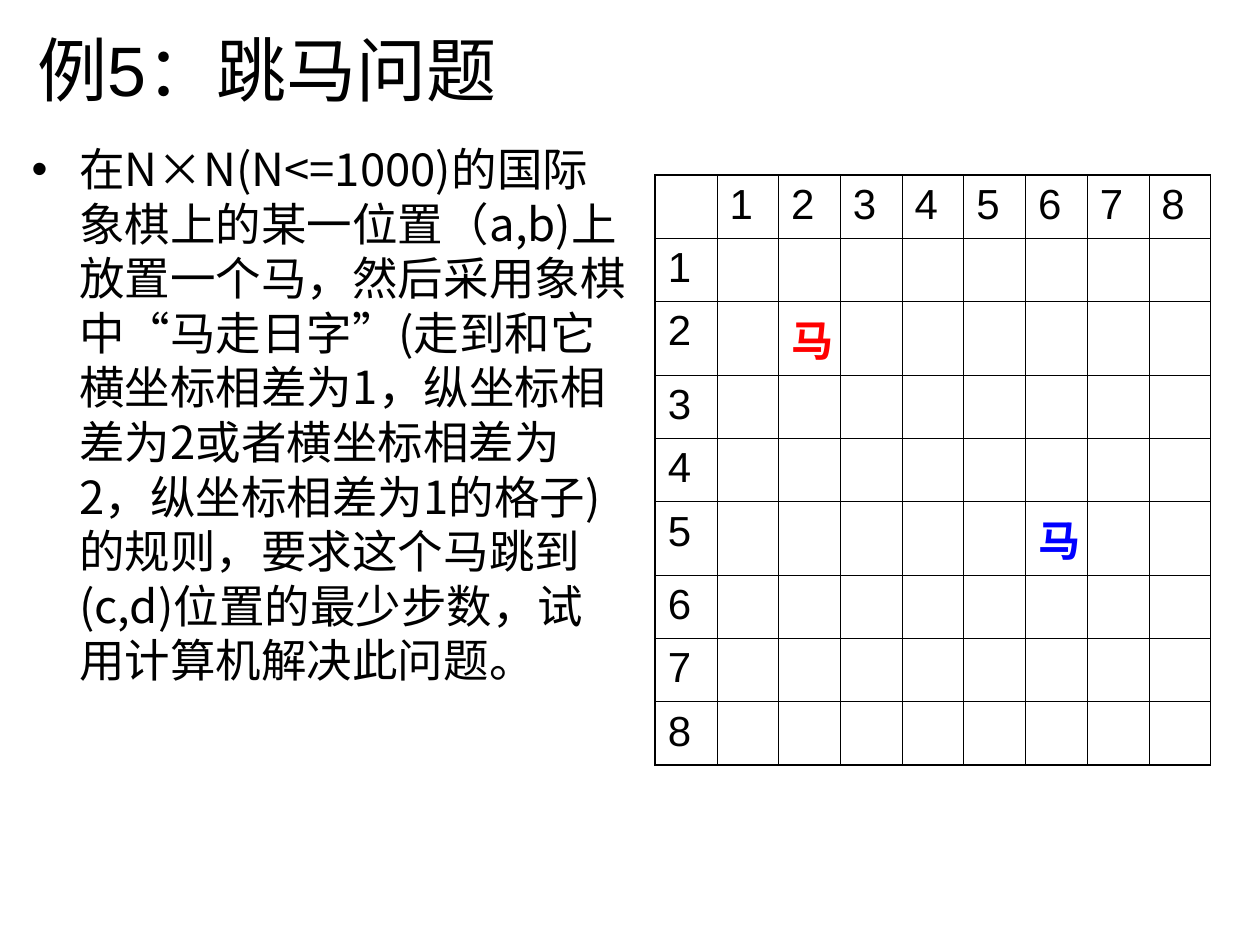
from dataclasses import dataclass

from lxml import etree
from pptx import Presentation
from pptx.dml.color import RGBColor
from pptx.enum.text import MSO_ANCHOR, MSO_AUTO_SIZE, PP_ALIGN
from pptx.oxml.ns import qn
from pptx.util import Inches, Pt

LEFT = PP_ALIGN.LEFT
TOP = MSO_ANCHOR.TOP
MIDDLE = MSO_ANCHOR.MIDDLE
NO_FIT = MSO_AUTO_SIZE.NONE


@dataclass(frozen=True)
class Theme:
    black: str = "000000"
    red: str = "FF0000"
    blue: str = "0000FF"
    latin: str = "Arial"
    asian: str = "Noto Sans CJK SC"
    title: float = 40
    body: float = 26
    cell: float = 24
    thin: float = 0.45
    thick: float = 1.08


@dataclass(frozen=True)
class Box:
    left: float
    top: float
    width: float
    height: float


@dataclass(frozen=True)
class Piece:
    row: int
    col: int
    color: str


THEME = Theme()
SIZE = 8
TITLE = "例5：跳马问题"
BODY = (
    "在N×N(N<=1000)的国际象棋上的某一位置（a,b)上放置一个马，"
    "然后采用象棋中“马走日字”(走到和它横坐标相差为1，"
    "纵坐标相差为2或者横坐标相差为2，纵坐标相差为1的格子)的规则，"
    "要求这个马跳到(c,d)位置的最少步数，试用计算机解决此问题。"
)
PIECES = [Piece(2, 2, THEME.red), Piece(5, 6, THEME.blue)]


def style(para, size: float, face: str, color: str = THEME.black, bold: bool = False) -> None:
    for run in para.runs:
        font = run.font
        font.size = Pt(size)
        font.bold = bold
        font.color.rgb = RGBColor.from_string(color)
        font.name = face
        asian = etree.Element(qn("a:ea"), typeface=THEME.asian)
        run._r.rPr.find(qn("a:latin")).addnext(asian)


def place(shape, box: Box, text: str, anchor):
    shape.left, shape.top = Inches(box.left), Inches(box.top)
    shape.width, shape.height = Inches(box.width), Inches(box.height)
    frame = shape.text_frame
    frame.text = text
    frame.word_wrap = True
    frame.auto_size = NO_FIT
    frame.vertical_anchor = anchor
    frame.margin_left = frame.margin_right = Inches(0.1)
    frame.margin_top = frame.margin_bottom = Inches(0.05)
    para = frame.paragraphs[0]
    para.alignment = LEFT
    return para


def bullet(para) -> None:
    props = para._p.get_or_add_pPr()
    props.set("marL", str(Inches(0.38)))
    props.set("indent", str(-Inches(0.38)))
    props.set("hangingPunct", "0")
    color = etree.SubElement(props, qn("a:buClr"))
    etree.SubElement(color, qn("a:srgbClr"), val=THEME.black)
    etree.SubElement(props, qn("a:buFont"), typeface=THEME.latin)
    etree.SubElement(props, qn("a:buChar"), char="•")


def border(cell, row: int, col: int) -> None:
    props = cell._tc.get_or_add_tcPr()
    edges = {"L": col == 0, "R": col == SIZE, "T": row == 0, "B": row == SIZE}
    for side, outer in edges.items():
        width = Pt(THEME.thick if outer else THEME.thin)
        line = etree.SubElement(props, qn(f"a:ln{side}"), w=str(width))
        fill = etree.SubElement(line, qn("a:solidFill"))
        etree.SubElement(fill, qn("a:srgbClr"), val=THEME.black)


def write(cell, text: str, color: str = THEME.black, bold: bool = False) -> None:
    cell.text = text
    style(cell.text_frame.paragraphs[0], THEME.cell, THEME.latin, color, bold)


def board(slide, box: Box, pieces: list[Piece]) -> None:
    count = SIZE + 1
    frame = slide.shapes.add_table(
        count, count, Inches(box.left), Inches(box.top), Inches(box.width), Inches(box.height)
    )
    table = frame.table
    table.first_row = table.horz_banding = False
    for row in range(count):
        for col in range(count):
            cell = table.cell(row, col)
            border(cell, row, col)
            cell.fill.background()
    for step in range(1, count):
        write(table.cell(0, step), str(step))
        write(table.cell(step, 0), str(step))
    for piece in pieces:
        write(table.cell(piece.row, piece.col), "马", piece.color, True)


def main() -> None:
    deck = Presentation()
    deck.slide_width, deck.slide_height = Inches(10), Inches(7.5)
    slide = deck.slides.add_slide(deck.slide_layouts[1])
    head = place(slide.shapes.title, Box(0.2, 0.17, 9, 0.75), TITLE, MIDDLE)
    style(head, THEME.title, THEME.latin)
    para = place(slide.placeholders[1], Box(0.15, 1.07, 4.92, 5.59), BODY, TOP)
    bullet(para)
    para.space_before = Pt(0)
    style(para, THEME.body, THEME.asian)
    board(slide, Box(5.2, 1.39, 4.41, 4.52), PIECES)
    deck.save("out.pptx")


if __name__ == "__main__":
    main()
